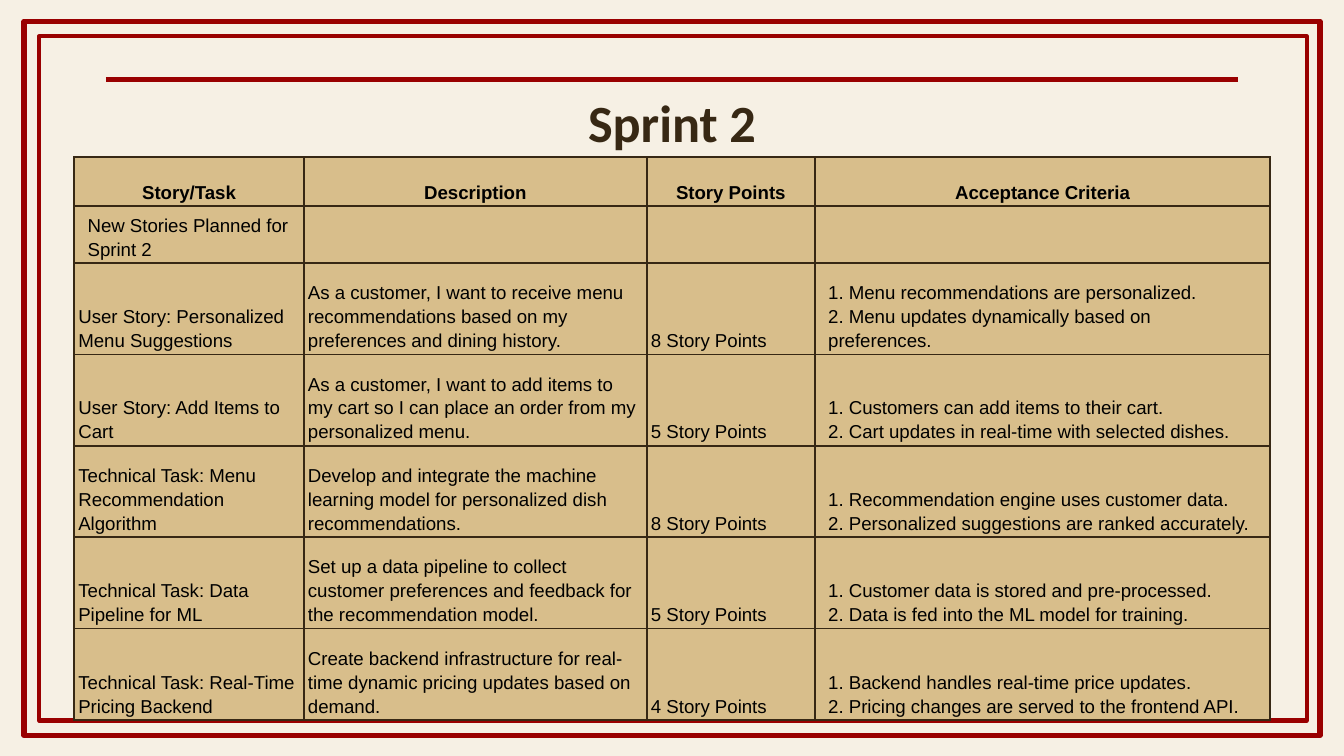
from lxml import etree
from pptx import Presentation
from pptx.dml.color import RGBColor
from pptx.enum import shapes, text
from pptx.oxml import ns
from pptx.util import Pt

CREAM = RGBColor(0xF6, 0xF0, 0xE4)
RED = RGBColor(0x99, 0x00, 0x00)
BROWN = RGBColor(0x37, 0x28, 0x14)
TAN = RGBColor(0xD8, 0xBE, 0x8B)
BLACK = RGBColor(0x00, 0x00, 0x00)

FRAMES = [(13, 11.5, 694, 382.5, 3), (21, 19.5, 679, 366.5, 2.25)]
RULE_TOPS = [42.5, 87.85]
COLUMNS = [123, 183.75, 90, 244]
ROWS = [26, 26] + [49] * 5
CELL_FONT = dict(name="Arial", size=Pt(10))
TITLE_FONT = dict(name="Calibri", size=Pt(28), bold=True)
STORIES = [
    ["Story/Task", "Description", "Story Points", "Acceptance Criteria"],
    ["New Stories Planned for Sprint 2", "", "", ""],
    ["User Story: Personalized Menu Suggestions",
     "As a customer, I want to receive menu recommendations based on my "
     "preferences and dining history.",
     "8 Story Points",
     "1. Menu recommendations are personalized.\n"
     "2. Menu updates dynamically based on preferences."],
    ["User Story: Add Items to Cart",
     "As a customer, I want to add items to my cart so I can place an order "
     "from my personalized menu.",
     "5 Story Points",
     "1. Customers can add items to their cart.\n"
     "2. Cart updates in real-time with selected dishes."],
    ["Technical Task: Menu Recommendation Algorithm",
     "Develop and integrate the machine learning model for personalized dish "
     "recommendations.",
     "8 Story Points",
     "1. Recommendation engine uses customer data.\n"
     "2. Personalized suggestions are ranked accurately."],
    ["Technical Task: Data Pipeline for ML",
     "Set up a data pipeline to collect customer preferences and feedback for "
     "the recommendation model.",
     "5 Story Points",
     "1. Customer data is stored and pre-processed.\n"
     "2. Data is fed into the ML model for training."],
    ["Technical Task: Real-Time Pricing Backend",
     "Create backend infrastructure for real-time dynamic pricing updates "
     "based on demand.",
     "4 Story Points",
     "1. Backend handles real-time price updates.\n"
     "2. Pricing changes are served to the frontend API."],
]


def apply(target, values):
    for key, value in values.items():
        setattr(target, key, value)


def style_font(font, values, color):
    apply(font, values)
    font.color.rgb = color


def add_frame(s, left, top, width, height, weight):
    sp = s.shapes.add_shape(shapes.MSO_SHAPE.RECTANGLE,
                            Pt(left), Pt(top), Pt(width), Pt(height))
    sp.shadow.inherit = False
    sp.fill.background()
    sp.line.color.rgb = RED
    sp.line.width = Pt(weight)


def add_rule(s, top):
    cx = s.shapes.add_connector(shapes.MSO_CONNECTOR.STRAIGHT,
                                Pt(56.75), Pt(top), Pt(663.25), Pt(top))
    cx.line.color.rgb = RED
    cx.line.width = Pt(3)
    etree.SubElement(cx._element.spPr, ns.qn("a:effectLst"))


def add_title(s, title):
    tf = s.shapes.add_textbox(Pt(56.75), Pt(42.5), Pt(606.5), Pt(45.35)).text_frame
    apply(tf, dict(word_wrap=True, vertical_anchor=text.MSO_ANCHOR.MIDDLE,
                   margin_left=Pt(7.2), margin_right=Pt(7.2),
                   margin_top=Pt(7.2), margin_bottom=Pt(7.2)))
    p = tf.paragraphs[0]
    p.alignment = text.PP_ALIGN.CENTER
    r = p.add_run()
    r.text = title
    style_font(r.font, TITLE_FONT, BROWN)


def add_borders(cell):
    tcPr = cell._tc.get_or_add_tcPr()
    for i, side in enumerate(("lnL", "lnR", "lnT", "lnB")):
        ln = etree.Element(ns.qn(f"a:{side}"), w=str(Pt(1)))
        fill = etree.SubElement(ln, ns.qn("a:solidFill"))
        etree.SubElement(fill, ns.qn("a:srgbClr"), val=str(BROWN))
        tcPr.insert(i, ln)


def fill_cell(cell, content, header, inset):
    cell.fill.solid()
    cell.fill.fore_color.rgb = TAN
    apply(cell, dict(vertical_anchor=text.MSO_ANCHOR.BOTTOM,
                     margin_left=Pt(inset), margin_right=Pt(inset),
                     margin_top=Pt(1.5), margin_bottom=Pt(1.5)))
    add_borders(cell)
    if not content:
        return
    cell.text = content
    for p in cell.text_frame.paragraphs:
        p.line_spacing = 1.15
        p.alignment = text.PP_ALIGN.CENTER if header else text.PP_ALIGN.LEFT
        for r in p.runs:
            style_font(r.font, dict(CELL_FONT, bold=header), BLACK)


def add_story_table(s):
    table = s.shapes.add_table(len(ROWS), len(COLUMNS), Pt(39.75), Pt(84.25),
                               Pt(sum(COLUMNS)), Pt(sum(ROWS))).table
    apply(table, dict(first_row=False, horz_banding=False))
    for column, width in zip(table.columns, COLUMNS):
        column.width = Pt(width)
    for i, (height, story) in enumerate(zip(ROWS, STORIES)):
        table.rows[i].height = Pt(height)
        for j, content in enumerate(story):
            wide = j == 3 or i == 1
            fill_cell(table.cell(i, j), content, i == 0, 7.2 if wide else 2.25)


def main():
    prs = Presentation()
    prs.slide_width, prs.slide_height = Pt(720), Pt(405)
    s = prs.slides.add_slide(prs.slide_layouts[6])
    s.background.fill.solid()
    s.background.fill.fore_color.rgb = CREAM
    for frame in FRAMES:
        add_frame(s, *frame)
    add_title(s, "Sprint 2")
    for top in RULE_TOPS:
        add_rule(s, top)
    add_story_table(s)
    prs.save("out.pptx")


if __name__ == "__main__":
    main()
